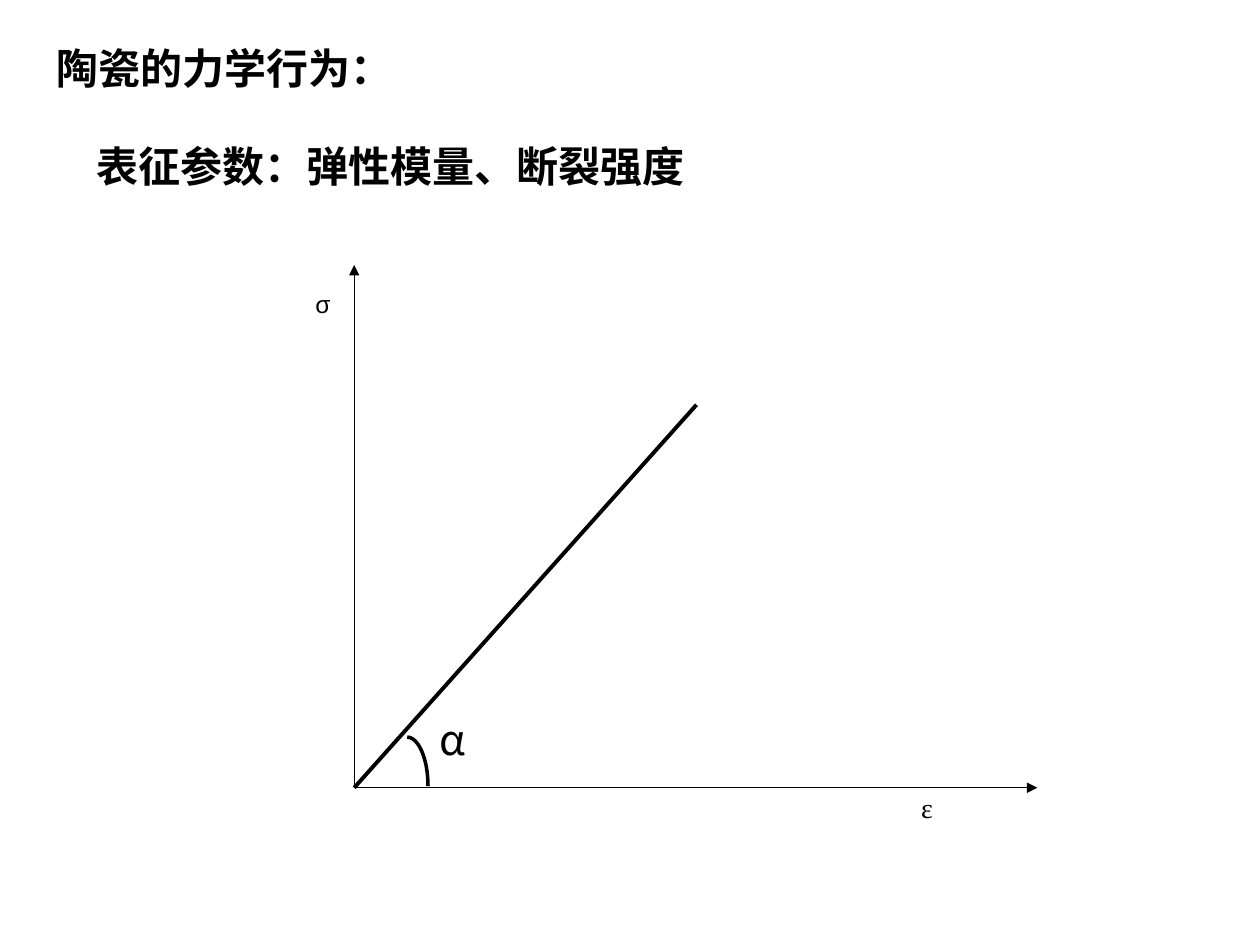
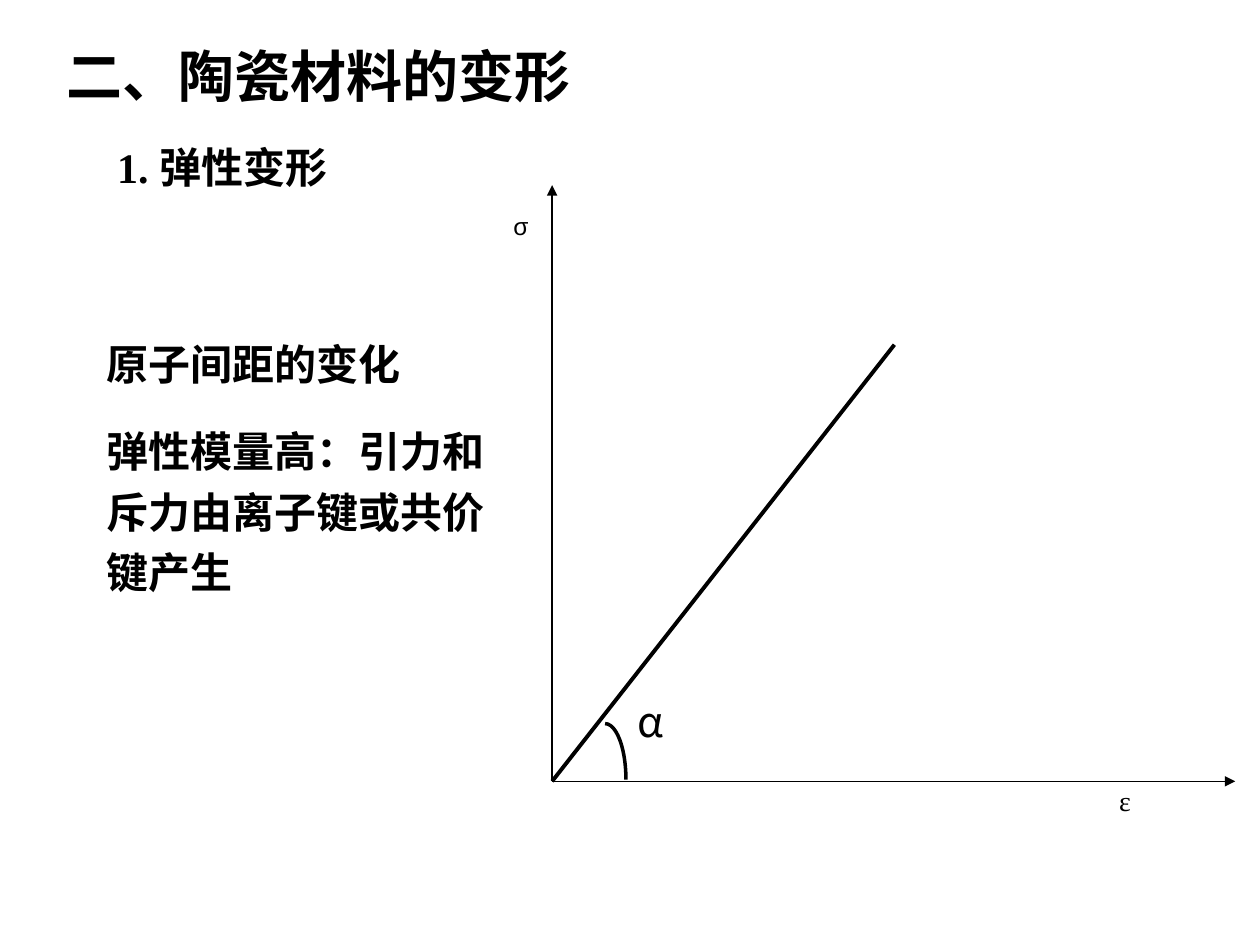
from dataclasses import dataclass

from lxml import etree
from pptx import Presentation
from pptx.dml.color import RGBColor
from pptx.enum.shapes import MSO_CONNECTOR, MSO_SHAPE
from pptx.enum.text import MSO_ANCHOR, MSO_AUTO_SIZE, PP_ALIGN
from pptx.oxml.ns import qn
from pptx.util import Cm, Pt

STRAIGHT = MSO_CONNECTOR.STRAIGHT
ARC = MSO_SHAPE.ARC
TOP = MSO_ANCHOR.TOP
FIT_SHAPE = MSO_AUTO_SIZE.SHAPE_TO_FIT_TEXT
LEFT, JUSTIFY = PP_ALIGN.LEFT, PP_ALIGN.JUSTIFY

INK = RGBColor(0x00, 0x00, 0x00)
PAPER = RGBColor(0xFF, 0xFF, 0xFF)
SERIF, SANS, CHINESE = "Times New Roman", "Arial", "Noto Sans CJK SC"
TITLE_ONLY = 5

# Paragraph formats
HEADING = {"line_spacing": 1.2, "space_before": Pt(15), "space_after": Pt(6)}
CHAPTER = {"alignment": JUSTIFY, "space_before": Pt(20), "space_after": Pt(20)}
SECTION = {"space_before": Pt(15)}
BODY = {"line_spacing": 1.2, "space_before": Pt(15)}
SIGMA = {"space_before": Pt(8.8)}


@dataclass
class Block:
    """A piece of text; box is left, top, width, height in centimetres."""
    lines: list[str]
    box: tuple[float, float, float, float]
    layout: dict
    size: float = 24
    font: str = SERIF
    bold: bool = True
    wrap: bool = True


@dataclass
class Diagram:
    """A stress-strain diagram, placed by its origin in centimetres."""
    x: float
    y: float
    stretch: float = 1.0


@dataclass
class Page:
    title: Block
    texts: list[Block]
    diagram: Diagram


# Diagram labels, measured from the origin
AXIS_LABELS = [
    Block(["σ"], (-1.03, -10.19, 0.99, 0.86), SIGMA, 14, SANS, False),
    Block(["ε"], (11.18, -0.08, 0.74, 0.94), {}, 16, SERIF, False, False),
    Block(["α"], (1.47, -1.63, 1.7, 1.27), SECTION, 24, CHINESE, False),
]

PAGES = [
    Page(
        Block(["陶瓷的力学行为："], (0.89, 0.53, 7.8, 1.47), HEADING),
        [Block(["表征参数：弹性模量、断裂强度"], (1.7, 2.51, 16.41, 1.47), HEADING)],
        Diagram(7.14, 15.88),
    ),
    Page(
        Block(["二、陶瓷材料的变形"], (1.09, 0.71, 13.61, 1.63), CHAPTER, 32),
        [
            Block(["1. 弹性变形"], (2.11, 2.72, 5.59, 1.27), SECTION),
            Block(["原子间距的变化", "弹性模量高：引力和斥力由离子键或共价键产生"],
                  (1.9, 6.5, 8.61, 5.66), BODY),
        ],
        Diagram(11.13, 15.75, 1.14),
    ),
]


def set_all(target, values: dict) -> None:
    for name, value in values.items():
        setattr(target, name, value)


def write_block(shape, block: Block) -> None:
    """Place a text shape and fill it with formatted paragraphs."""
    places = zip(("left", "top", "width", "height"), block.box)
    set_all(shape, {name: Cm(value) for name, value in places})
    frame = shape.text_frame
    set_all(frame, {
        "word_wrap": block.wrap, "auto_size": FIT_SHAPE, "vertical_anchor": TOP,
        "margin_left": Cm(0.25), "margin_right": Cm(0.25),
        "margin_top": Cm(0.13), "margin_bottom": Cm(0.13),
    })
    for number, line in enumerate(block.lines):
        para = frame.add_paragraph() if number else frame.paragraphs[0]
        set_all(para, {"alignment": LEFT} | block.layout)
        span = para.add_run()
        span.text = line
        set_all(span.font, {"name": block.font, "size": Pt(block.size),
                            "bold": block.bold})
        span.font.color.rgb = INK
        east_asian = etree.SubElement(span.font._element, qn("a:ea"))
        east_asian.set("typeface", CHINESE)


def set_line(shape, width: float) -> None:
    shape.line.color.rgb = INK
    shape.line.width = Pt(width)


def draw_line(group, start: tuple[float, float], end: tuple[float, float],
              width: float, arrow: bool = False) -> None:
    line = group.shapes.add_connector(
        STRAIGHT, *(Cm(value) for value in start + end))
    set_line(line, width)
    if arrow:
        head = etree.SubElement(line.line._get_or_add_ln(), qn("a:tailEnd"))
        head.set("type", "triangle")
    etree.SubElement(line._element.spPr, qn("a:effectLst"))


def draw_diagram(page, diagram: Diagram) -> None:
    x, y, stretch = diagram.x, diagram.y, diagram.stretch
    group = page.shapes.add_group_shape()

    # Axes and elastic line
    draw_line(group, (x, y), (x, y - 10.54 * stretch), 0.75, arrow=True)
    draw_line(group, (x, y), (x + 13.77, y), 0.75, arrow=True)
    draw_line(group, (x, y), (x + 6.9, y - 7.72 * stretch), 2.25)

    # Slope angle
    angle = group.shapes.add_shape(
        ARC, Cm(x + 0.65), Cm(y - 1.02 * stretch), Cm(0.84), Cm(1.98 * stretch))
    angle.shadow.inherit = False
    angle.fill.background()
    set_line(angle, 2)

    # Labels
    for label in AXIS_LABELS:
        left, top, width, height = label.box
        placed = Block(label.lines, (x + left, y + top * stretch, width, height),
                       label.layout, label.size, label.font, label.bold, label.wrap)
        write_block(group.shapes.add_textbox(0, 0, 0, 0), placed)


def build_page(deck, content: Page) -> None:
    page = deck.slides.add_slide(deck.slide_layouts[TITLE_ONLY])
    page.background.fill.solid()
    page.background.fill.fore_color.rgb = PAPER
    write_block(page.shapes.title, content.title)
    draw_diagram(page, content.diagram)
    for block in content.texts:
        write_block(page.shapes.add_textbox(0, 0, 0, 0), block)


def main() -> None:
    deck = Presentation()
    deck.slide_width, deck.slide_height = Cm(25.4), Cm(19.05)
    for content in PAGES:
        build_page(deck, content)
    deck.save("out.pptx")


if __name__ == "__main__":
    main()
